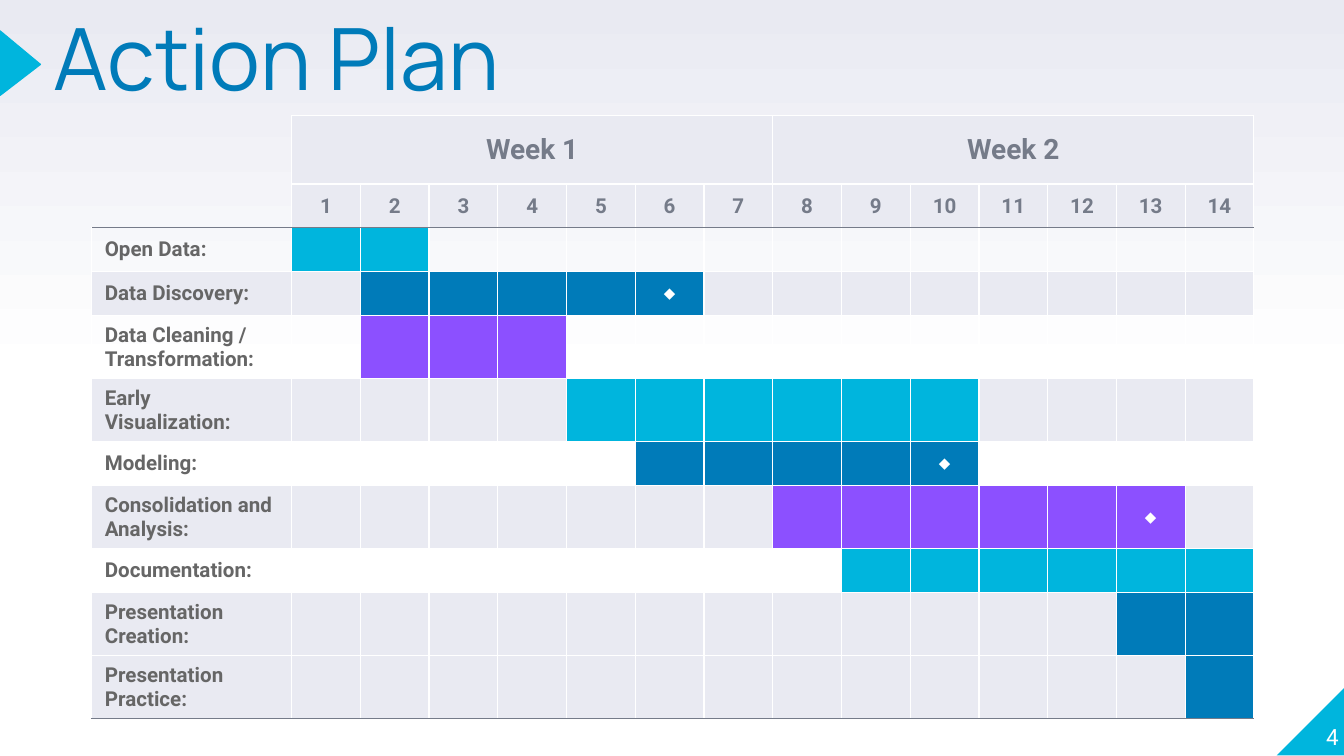
from lxml import etree
from pptx import Presentation
from pptx.dml.color import RGBColor
from pptx.enum.shapes import MSO_SHAPE
from pptx.enum.text import MSO_ANCHOR, PP_ALIGN
from pptx.oxml.ns import qn
from pptx.util import Inches, Pt

LEFT, CENTER, RIGHT = PP_ALIGN.LEFT, PP_ALIGN.CENTER, PP_ALIGN.RIGHT
TOP, MIDDLE, BOTTOM = MSO_ANCHOR.TOP, MSO_ANCHOR.MIDDLE, MSO_ANCHOR.BOTTOM
CYAN, BLUE, PURPLE = "00B5DD", "007BB9", "8C50FF"
WHITE, PALE, SLATE, GRAY = "FFFFFF", "E9EAF2", "757B89", "666666"

DAYS = 14
DAYS_PER_WEEK = 7
HEADER_ROWS = 2
# label, first day, last day, bar colour, milestone day, shaded row, two-line label
TASKS = [
    ("Open Data:", 1, 2, CYAN, None, False, False),
    ("Data Discovery:", 2, 6, BLUE, 6, True, False),
    ("Data Cleaning / Transformation:", 2, 4, PURPLE, None, False, True),
    ("Early Visualization:", 5, 10, CYAN, None, True, True),
    ("Modeling:", 6, 10, BLUE, 10, False, False),
    ("Consolidation and Analysis:", 8, 13, PURPLE, 13, True, True),
    ("Documentation:", 9, 14, CYAN, None, False, False),
    ("Presentation Creation:", 13, 14, BLUE, None, True, True),
    ("Presentation Practice:", 14, 14, BLUE, None, True, True),
]


def write_text(frame, text, size=11, color=GRAY, font="Roboto", bold=False,
               align=LEFT, anchor=MIDDLE, spacing=None):
    frame.word_wrap = True
    frame.vertical_anchor = anchor
    paragraph = frame.paragraphs[0]
    paragraph.alignment = align
    paragraph.line_spacing = spacing
    run = paragraph.add_run()
    run.text = text
    run.font.size = Pt(size)
    run.font.name = font
    run.font.bold = bold
    run.font.color.rgb = RGBColor.from_string(color)


def style_cell(cell, fill, **borders):
    """Set the fill and the L, R, T, B borders; None leaves either one empty."""
    properties = cell._tc.get_or_add_tcPr()
    for side in "LRTB":
        color = borders.get(side, WHITE)
        line = etree.SubElement(properties, qn(f"a:ln{side}"), w=str(Pt(0.75)))
        if color is None:
            etree.SubElement(line, qn("a:noFill"))
        else:
            solid = etree.SubElement(line, qn("a:solidFill"))
            etree.SubElement(solid, qn("a:srgbClr"), val=color)
    if fill is None:
        cell.fill.background()
    else:
        cell.fill.solid()
        cell.fill.fore_color.rgb = RGBColor.from_string(fill)


presentation = Presentation()
presentation.slide_width = Inches(10)
presentation.slide_height = Inches(10 * 9 / 16)
slide = presentation.slides.add_slide(presentation.slide_layouts[6])

background = slide.background.fill
background.gradient()
background.gradient_angle = 90
for stop, position, color in zip(background.gradient_stops, (0.5, 1), (WHITE, PALE)):
    stop.position = position
    stop.color.rgb = RGBColor.from_string(color)

# Page number in the corner
corner = slide.shapes.add_shape(
    MSO_SHAPE.RIGHT_TRIANGLE, Inches(9.5), Inches(5.11), Inches(0.51), Inches(0.51))
corner._element.spPr.find(qn("a:xfrm")).set("flipH", "1")
corner.shadow.inherit = False
corner.fill.solid()
corner.fill.fore_color.rgb = RGBColor.from_string(CYAN)
corner.line.fill.background()

page_number = slide.shapes.add_textbox(
    Inches(9.46), Inches(5.07), Inches(0.5), Inches(0.51)).text_frame
page_number.margin_left = page_number.margin_right = 0
page_number.margin_top = page_number.margin_bottom = 0
write_text(page_number, "4", size=12, color=WHITE, align=RIGHT, anchor=BOTTOM)

# Schedule table
table_width, table_height = 8.65, 4.49
label_width, week_height, tall_height = 1.49, 0.51, 0.47
day_width = (table_width - label_width) / DAYS
tall_rows = sum(task[-1] for task in TASKS)
short_rows = 1 + len(TASKS) - tall_rows
short_height = (table_height - week_height - tall_rows * tall_height) / short_rows

table = slide.shapes.add_table(
    HEADER_ROWS + len(TASKS), 1 + DAYS, Inches(0.68), Inches(0.86),
    Inches(table_width), Inches(table_height)).table
table.first_row = False
table.horz_banding = False
for index, column in enumerate(table.columns):
    column.width = Inches(day_width if index else label_width)
row_heights = [week_height, short_height]
row_heights += [tall_height if task[-1] else short_height for task in TASKS]
for row, height in zip(table.rows, row_heights):
    row.height = Inches(height)

style_cell(table.cell(0, 0), None, L=None, T=None, B=None)
style_cell(table.cell(1, 0), None, L=None, T=None, B=SLATE)
for day in range(1, DAYS + 1):
    style_cell(table.cell(0, day), PALE)
    style_cell(table.cell(1, day), PALE, B=SLATE)
    write_text(table.cell(1, day).text_frame, str(day), color=SLATE, bold=True, align=CENTER)
    table.cell(1, day).vertical_anchor = MIDDLE
for week in (1, 2):
    first = (week - 1) * DAYS_PER_WEEK + 1
    week_cell = table.cell(0, first)
    week_cell.merge(table.cell(0, first + DAYS_PER_WEEK - 1))
    week_cell.vertical_anchor = MIDDLE
    write_text(week_cell.text_frame, f"Week {week}", size=15, color=SLATE,
               bold=True, align=CENTER)

last_row = HEADER_ROWS + len(TASKS) - 1
for row, task in enumerate(TASKS, HEADER_ROWS):
    label, start, end, bar_color, milestone, shaded, _ = task
    top = SLATE if row == HEADER_ROWS else WHITE
    bottom = SLATE if row == last_row else WHITE
    for day in range(DAYS + 1):
        cell = table.cell(row, day)
        cell.vertical_anchor = MIDDLE
        row_fill = PALE if shaded else None
        style_cell(cell, bar_color if start <= day <= end else row_fill, T=top, B=bottom)
        if day == 0:
            write_text(cell.text_frame, label, bold=True)
        elif day == milestone:
            write_text(cell.text_frame, "◆", size=8, color=WHITE, align=CENTER)

# Small empty lines keep the rows from growing
for cell in table.iter_cells():
    if not cell.text:
        etree.SubElement(cell.text_frame.paragraphs[0]._p, qn("a:endParaRPr"), sz="800")

# Title and its marker
title = slide.shapes.add_textbox(
    Inches(0.3), Inches(0.08), Inches(4.59), Inches(0.62)).text_frame
title.margin_left = title.margin_right = Inches(0.1)
title.margin_top = title.margin_bottom = Inches(0.1)
write_text(title, "Action Plan", size=46, color=BLUE, font="Manrope", anchor=TOP, spacing=0.8)

marker = slide.shapes.add_shape(
    MSO_SHAPE.ISOSCELES_TRIANGLE, Inches(-0.09), Inches(0.32), Inches(0.48), Inches(0.3))
marker.rotation = 90
marker.adjustments[0] = 0.52
marker.shadow.inherit = False
marker.fill.solid()
marker.fill.fore_color.rgb = RGBColor.from_string(CYAN)
marker.line.color.rgb = RGBColor.from_string(CYAN)
marker.line.width = Pt(0.75)

presentation.save("out.pptx")
